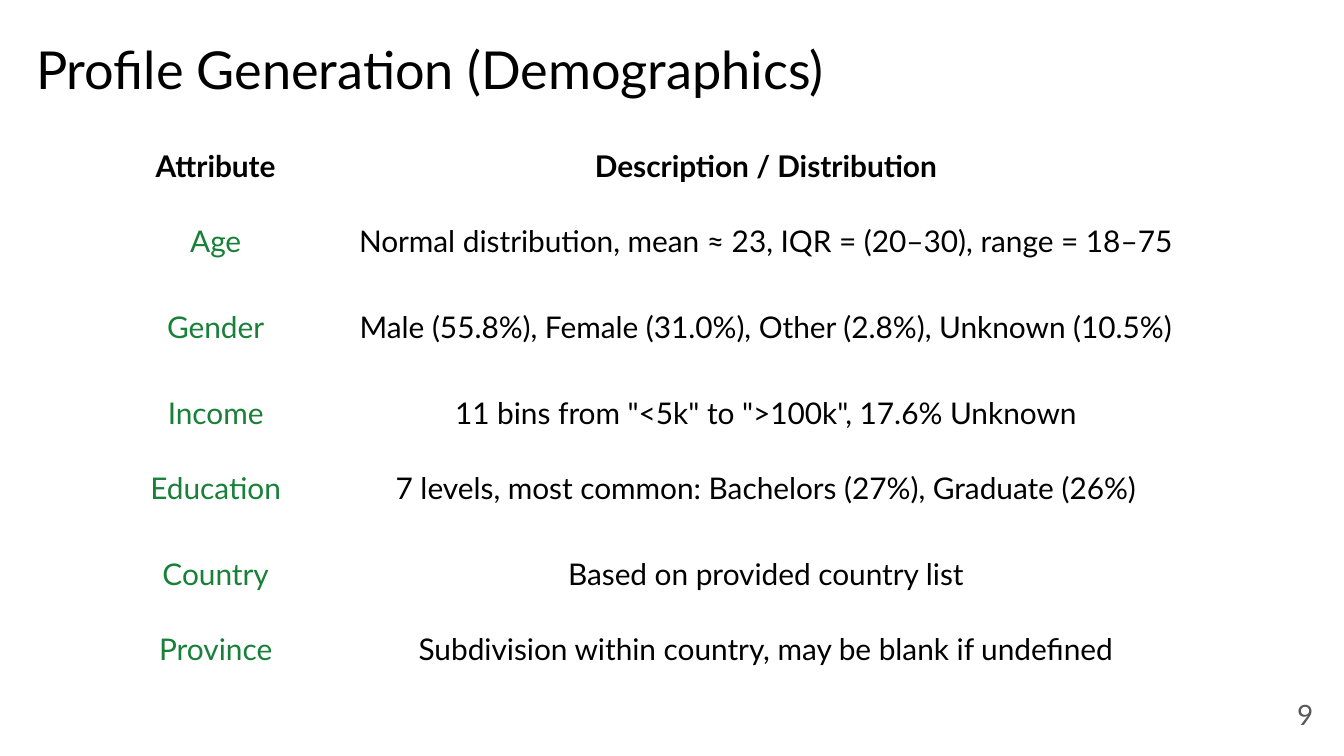
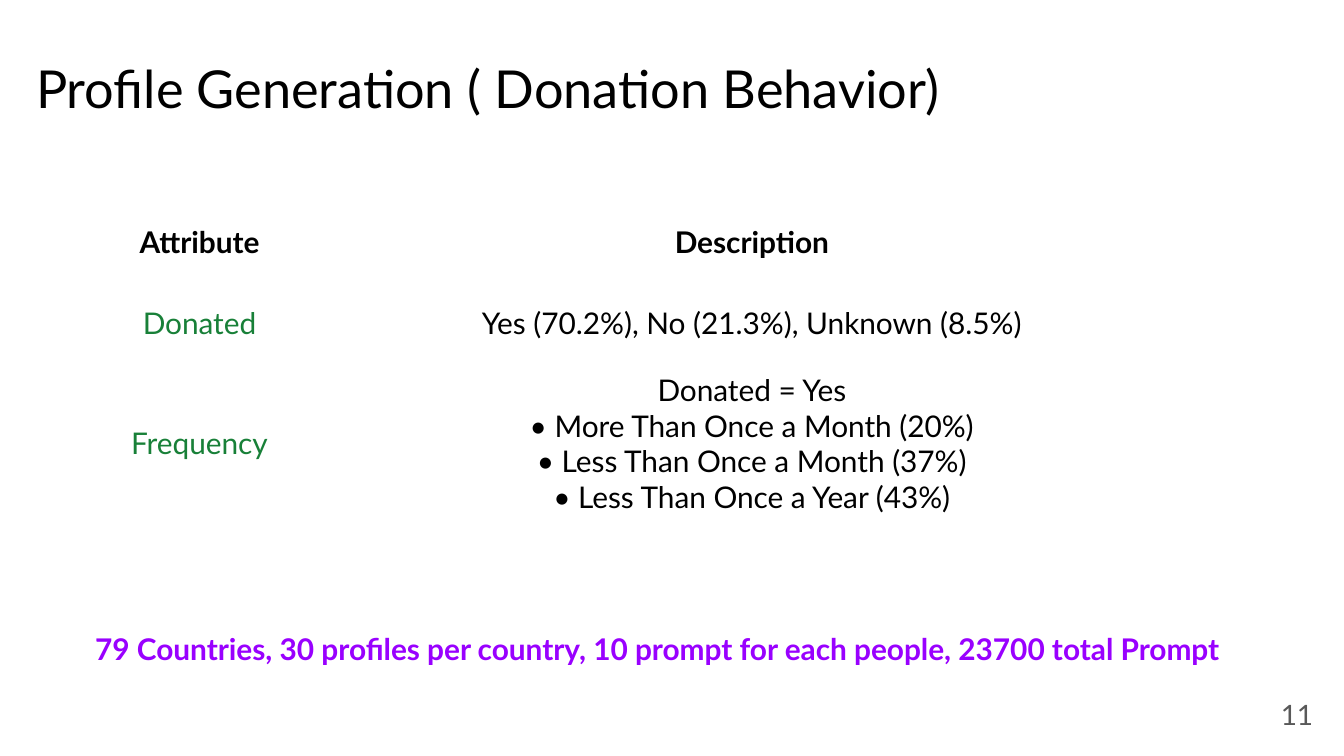
"""Build two slides that describe how survey profiles are generated."""

from dataclasses import dataclass
from typing import Any

from pptx import Presentation
from pptx.dml.color import RGBColor
from pptx.enum.text import MSO_ANCHOR, MSO_AUTO_SIZE, PP_ALIGN
from pptx.slide import Slide
from pptx.text.text import TextFrame
from pptx.util import Inches, Pt

TOP, MIDDLE = MSO_ANCHOR.TOP, MSO_ANCHOR.MIDDLE
LEFT, CENTER, RIGHT = PP_ALIGN.LEFT, PP_ALIGN.CENTER, PP_ALIGN.RIGHT
GROW, FIXED = MSO_AUTO_SIZE.SHAPE_TO_FIT_TEXT, MSO_AUTO_SIZE.NONE

BLACK = RGBColor(0x00, 0x00, 0x00)
GRAY = RGBColor(0x59, 0x59, 0x59)
GREEN = RGBColor(0x18, 0x80, 0x38)
PURPLE = RGBColor(0x99, 0x00, 0xFF)

SLIDE_WIDTH = Inches(10)
SLIDE_HEIGHT = SLIDE_WIDTH * 9 // 16
FONT = "Lato"
PADDING = 0.1
SIDES = ("left", "top", "right", "bottom")


@dataclass(frozen=True)
class TextStyle:
    """Look of a piece of text."""

    size: float
    color: RGBColor
    bold: bool = False
    align: PP_ALIGN = LEFT
    line_spacing: float | None = None


@dataclass(frozen=True)
class Area:
    """Place of a text box in inches."""

    left: float
    top: float
    width: float
    height: float


@dataclass(frozen=True)
class AttributeTable:
    """Table of profile attributes, with its header as the first row."""

    left: float
    top: float
    columns: tuple[float, ...]
    heights: tuple[float, ...]
    rows: tuple[tuple[str, str], ...]
    padding: float = PADDING
    body_anchor: MSO_ANCHOR = TOP
    header_spacing: float | None = None


@dataclass(frozen=True)
class ProfilePage:
    """Content of one slide."""

    number: int
    title: str
    title_top: float
    table: AttributeTable
    summary: str = ""


TITLE = TextStyle(28, BLACK)
PAGE_NUMBER = TextStyle(15, GRAY, align=RIGHT)
SUMMARY = TextStyle(16, PURPLE, bold=True)
ATTRIBUTE = TextStyle(16, GREEN, align=CENTER)
DESCRIPTION = TextStyle(16, BLACK, align=CENTER)

NUMBER_AREA = Area(9.27, 5.1, 0.6, 0.43)
SUMMARY_AREA = Area(0.61, 4.59, 8.78, 0.47)

PAGES = (
    ProfilePage(
        9,
        "Profile Generation (Demographics)",
        0.18,
        AttributeTable(
            left=0.83,
            top=0.96,
            columns=(1.55, 6.64),
            heights=(0.6, 0.64, 0.64, 0.56, 0.64, 0.56, 0.64),
            rows=(
                ("Attribute", "Description / Distribution"),
                ("Age", "Normal distribution, mean ≈ 23, IQR = (20–30), range = 18–75"),
                ("Gender", "Male (55.8%), Female (31.0%), Other (2.8%), Unknown (10.5%)"),
                ("Income", '11 bins from "<5k" to ">100k", 17.6% Unknown'),
                ("Education", "7 levels, most common: Bachelors (27%), Graduate (26%)"),
                ("Country", "Based on provided country list"),
                ("Province", "Subdivision within country, may be blank if undefined"),
            ),
            header_spacing=1.15,
        ),
    ),
    ProfilePage(
        11,
        "Profile Generation ( Donation Behavior)",
        0.32,
        AttributeTable(
            left=0.58,
            top=1.67,
            columns=(1.81, 6.41),
            heights=(0.49, 0.49, 1.3),
            rows=(
                ("Attribute", "Description"),
                ("Donated", "Yes (70.2%), No (21.3%), Unknown (8.5%)"),
                (
                    "Frequency",
                    "Donated = Yes\n"
                    "• More Than Once a Month (20%)\n"
                    "• Less Than Once a Month (37%)\n"
                    "• Less Than Once a Year (43%)",
                ),
            ),
            padding=0,
            body_anchor=MIDDLE,
        ),
        "79 Countries, 30 profiles per country, 10 prompt for each people, 23700 total Prompt",
    ),
)


def apply_format(target: Any, values: dict[str, Any]) -> None:
    """Set each named attribute of the target."""
    for name, value in values.items():
        setattr(target, name, value)


def margins(padding: float) -> dict[str, Any]:
    """Return equal margins for all four sides."""
    return {f"margin_{side}": Inches(padding) for side in SIDES}


def write_text(frame: TextFrame, text: str, style: TextStyle) -> None:
    """Fill a text frame with one styled paragraph per line."""
    frame.text = text
    for para in frame.paragraphs:
        apply_format(para, {"alignment": style.align, "line_spacing": style.line_spacing})
        for span in para.runs:
            apply_format(
                span.font, {"name": FONT, "size": Pt(style.size), "bold": style.bold}
            )
            span.font.color.rgb = style.color


def add_text(
    page: Slide,
    area: Area,
    text: str,
    style: TextStyle,
    anchor: MSO_ANCHOR = TOP,
    auto_size: MSO_AUTO_SIZE = GROW,
) -> None:
    """Add a wrapping text box to the page."""
    box = page.shapes.add_textbox(
        Inches(area.left), Inches(area.top), Inches(area.width), Inches(area.height)
    )
    frame = box.text_frame
    apply_format(
        frame,
        {
            "word_wrap": True,
            "auto_size": auto_size,
            "vertical_anchor": anchor,
            **margins(PADDING),
        },
    )
    write_text(frame, text, style)


def add_attribute_table(page: Slide, content: AttributeTable) -> None:
    """Add an unfilled table with a bold header and green attribute names."""
    table = page.shapes.add_table(
        len(content.rows),
        len(content.columns),
        Inches(content.left),
        Inches(content.top),
        Inches(sum(content.columns)),
        Inches(sum(content.heights)),
    ).table
    apply_format(table, {"first_row": False, "horz_banding": False})
    for column, width in zip(table.columns, content.columns):
        column.width = Inches(width)
    for row, height in zip(table.rows, content.heights):
        row.height = Inches(height)

    header = TextStyle(
        16, BLACK, bold=True, align=CENTER, line_spacing=content.header_spacing
    )
    for row_index, texts in enumerate(content.rows):
        is_header = row_index == 0
        styles = (header, header) if is_header else (ATTRIBUTE, DESCRIPTION)
        anchor = TOP if is_header else content.body_anchor
        for column_index, (text, style) in enumerate(zip(texts, styles)):
            cell = table.cell(row_index, column_index)
            cell.fill.background()
            apply_format(cell, {"vertical_anchor": anchor, **margins(content.padding)})
            write_text(cell.text_frame, text, style)


def add_profile_page(deck: Any, content: ProfilePage) -> None:
    """Add one slide with its number, title, table and summary."""
    page = deck.slides.add_slide(deck.slide_layouts[6])
    add_text(page, NUMBER_AREA, str(content.number), PAGE_NUMBER, MIDDLE, FIXED)
    add_text(page, Area(0.17, content.title_top, 9.44, 0.67), content.title, TITLE)
    add_attribute_table(page, content.table)
    if content.summary:
        add_text(page, SUMMARY_AREA, content.summary, SUMMARY)


def main() -> None:
    """Build and save the deck."""
    deck = Presentation()
    apply_format(deck, {"slide_width": SLIDE_WIDTH, "slide_height": SLIDE_HEIGHT})
    for content in PAGES:
        add_profile_page(deck, content)
    deck.save("out.pptx")


if __name__ == "__main__":
    main()
